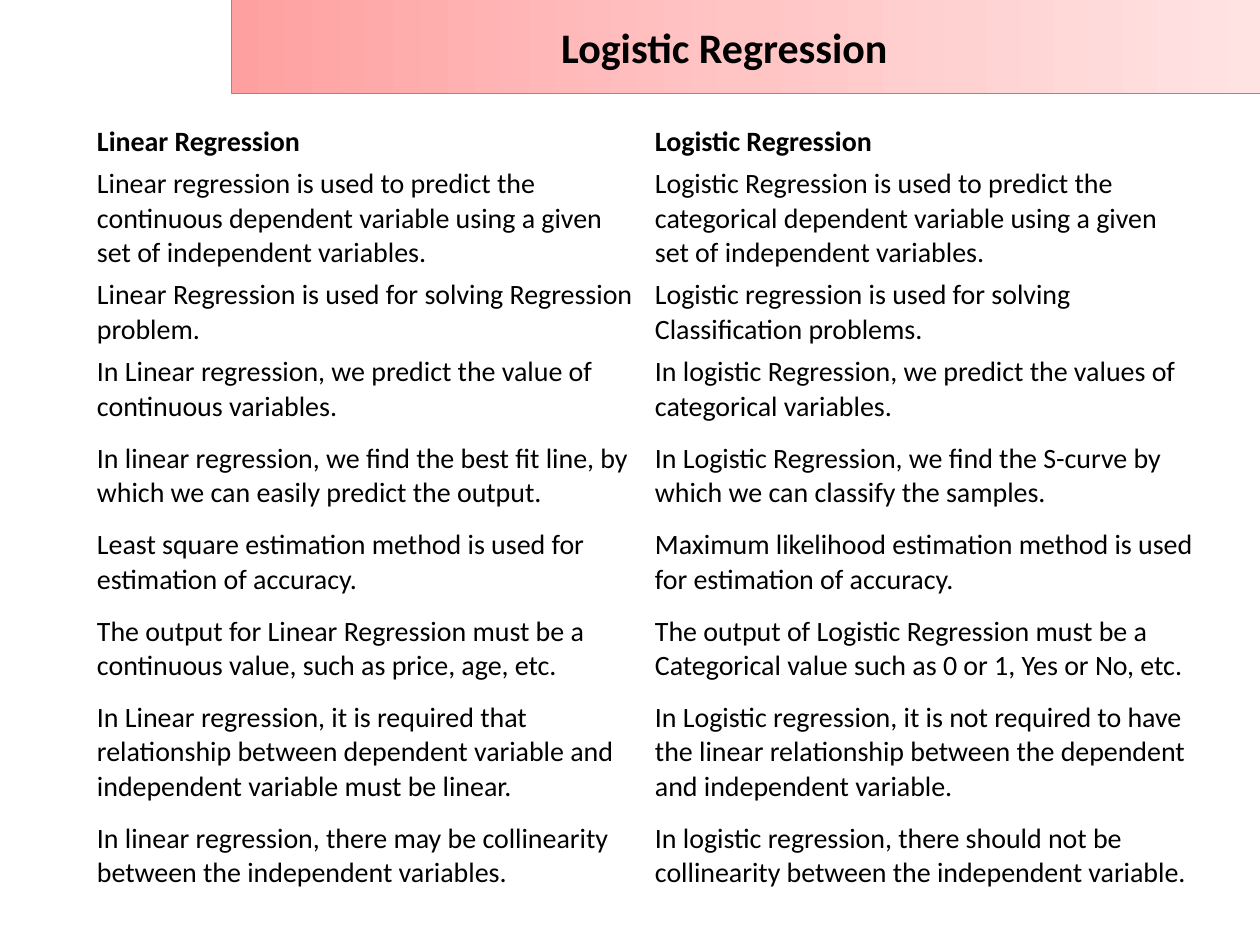
import copy

import pptx
import pptx.dml.color
import pptx.enum.shapes
import pptx.enum.text
import pptx.oxml.ns
import pptx.util

RGBColor = pptx.dml.color.RGBColor
BLACK = RGBColor(0x00, 0x00, 0x00)
BLUE = RGBColor(0x5B, 0x9B, 0xD5)
BANNER_STOPS = (
    (0, RGBColor(0xFF, 0xA0, 0xA0)),
    (0.5, RGBColor(0xFF, 0xC5, 0xC5)),
    (1, RGBColor(0xFF, 0xE3, 0xE3)),
)
PX_PER_INCH = 126

ROWS = (
    ("Linear Regression", "Logistic Regression"),
    ("Linear regression is used to predict the continuous dependent variable "
     "using a given set of independent variables.",
     "Logistic Regression is used to predict the categorical dependent variable "
     "using a given set of independent variables."),
    ("Linear Regression is used for solving Regression problem.",
     "Logistic regression is used for solving Classification problems."),
    ("In Linear regression, we predict the value of continuous variables.",
     "In logistic Regression, we predict the values of categorical variables."),
    ("In linear regression, we find the best fit line, by which we can easily "
     "predict the output.",
     "In Logistic Regression, we find the S-curve by which we can classify the "
     "samples."),
    ("Least square estimation method is used for estimation of accuracy.",
     "Maximum likelihood estimation method is used for estimation of accuracy."),
    ("The output for Linear Regression must be a continuous value, such as "
     "price, age, etc.",
     "The output of Logistic Regression must be a Categorical value such as 0 or "
     "1, Yes or No, etc."),
    ("In Linear regression, it is required that relationship between dependent "
     "variable and independent variable must be linear.",
     "In Logistic regression, it is not required to have the linear relationship "
     "between the dependent and independent variable."),
    ("In linear regression, there may be collinearity between the independent "
     "variables.",
     "In logistic regression, there should not be collinearity between the "
     "independent variable."),
)
ROW_HEIGHTS = (42, 111, 77, 77, 96, 77, 96, 111, 96)


def px(n):
    return pptx.util.Emu(round(n * 914400 / PX_PER_INCH))


def write(tf, text, size=16, bold=False, align=None, font="Calibri", color=BLACK):
    p = tf.paragraphs[0]
    p.alignment = align
    r = p.add_run()
    r.text = text
    r.font.name = font
    r.font.size = pptx.util.Pt(size)
    r.font.bold = bold
    r.font.color.rgb = color


class Deck:
    def __init__(self, width, height):
        self.prs = pptx.Presentation()
        self.prs.slide_width = px(width)
        self.prs.slide_height = px(height)
        self.s = self.prs.slides.add_slide(self.prs.slide_layouts[6])

    def banner(self, x, y, w, h, stops):
        """Add a rectangle with a left-to-right gradient of (position, colour)."""
        sp = self.s.shapes.add_shape(
            pptx.enum.shapes.MSO_SHAPE.RECTANGLE, px(x), px(y), px(w), px(h))
        sp.shadow.inherit = False
        sp.line.color.rgb = BLUE
        sp.line.width = pptx.util.Pt(0.5)
        sp.fill.gradient()
        sp.fill.gradient_angle = 0
        gs_list = next(sp.element.iter(pptx.oxml.ns.qn("a:gsLst")))
        while len(gs_list) < len(stops):
            gs_list.append(copy.deepcopy(gs_list[0]))
        for stop, (position, color) in zip(sp.fill.gradient_stops, stops):
            stop.position = position
            stop.color.rgb = color

    def title(self, x, y, w, h, text):
        tf = self.s.shapes.add_textbox(px(x), px(y), px(w), px(h)).text_frame
        tf.word_wrap = True
        tf.vertical_anchor = pptx.enum.text.MSO_ANCHOR.MIDDLE
        write(tf, text, size=24, bold=True, align=pptx.enum.text.PP_ALIGN.CENTER)

    def table(self, x, y, w, rows, heights):
        """Add a plain table with equal columns and a bold first row."""
        columns = len(rows[0])
        table = self.s.shapes.add_table(
            len(rows), columns, px(x), px(y), px(w), px(sum(heights))).table
        table.first_row = False
        table.horz_banding = False
        for column in table.columns:
            column.width = px(w // columns)
        for i, (texts, height) in enumerate(zip(rows, heights)):
            table.rows[i].height = px(height)
            for j, text in enumerate(texts):
                cell = table.cell(i, j)
                cell.fill.background()
                cell.vertical_anchor = pptx.enum.text.MSO_ANCHOR.MIDDLE
                cell.margin_left = cell.margin_right = px(9)
                cell.margin_top = cell.margin_bottom = px(4)
                write(cell.text_frame, text, bold=i == 0)


def main():
    deck = Deck(1260, 945)
    deck.banner(231, -1, 1029, 94, BANNER_STOPS)
    deck.title(282, 0, 885, 94, "Logistic Regression")
    deck.table(88, 121, 1116, ROWS, ROW_HEIGHTS)
    deck.prs.save("out.pptx")


if __name__ == "__main__":
    main()
